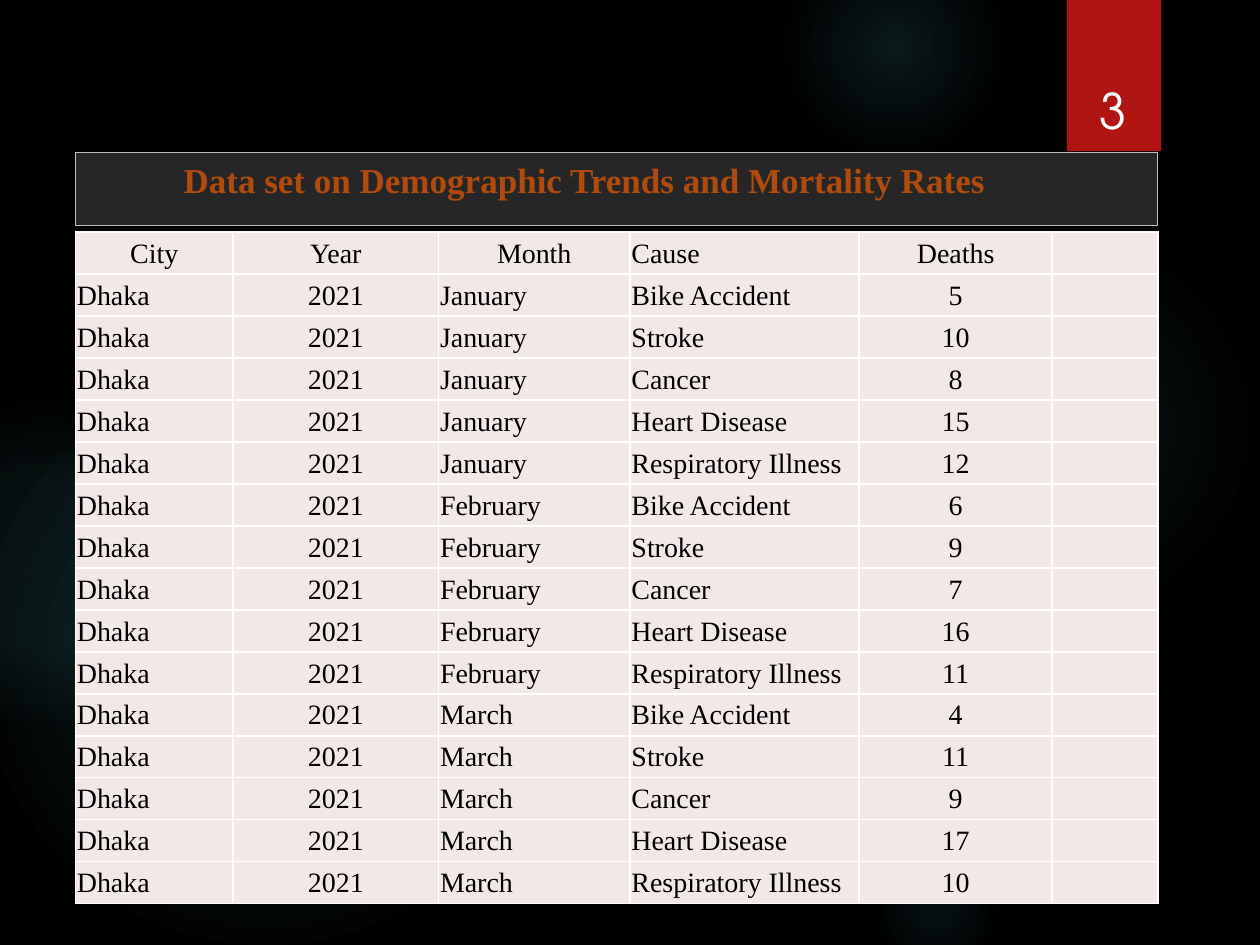
from dataclasses import dataclass
from itertools import product

from lxml.etree import SubElement
from pptx import Presentation
from pptx.dml.color import RGBColor
from pptx.enum.shapes import MSO_SHAPE
from pptx.enum.text import MSO_ANCHOR, MSO_AUTO_SIZE, PP_ALIGN
from pptx.oxml import parse_xml
from pptx.oxml.ns import nsdecls, qn
from pptx.slide import Slide
from pptx.table import _Cell
from pptx.text.text import TextFrame
from pptx.util import Cm, Pt

COLORS = {
    "background": "000000", "glow": "50B9C1", "tab": "B01513",
    "banner": "262626", "banner line": "BDBDBD", "title": "B04A0D",
    "cell": "F2E8E7", "border": "FFFFFF", "text": "000000", "number": "FFFFFF",
}
SERIF = "Times New Roman"
HEADERS = ("City", "Year", "Month", "Cause", "Deaths", "")
MONTHS = ("January", "February", "March")
CAUSES = ("Bike Accident", "Stroke", "Cancer", "Heart Disease", "Respiratory Illness")
DEATHS = (5, 10, 8, 15, 12, 6, 9, 7, 16, 11, 4, 11, 9, 17, 10)
COLUMN_WIDTHS = (3.18, 4.14, 3.86, 4.62, 3.89, 2.13)
CENTERED_COLUMNS = {"Year", "Deaths"}
CENTERED_HEADERS = CENTERED_COLUMNS | {"City", "Month"}
TABLE_LEFT, TABLE_TOP, TABLE_HEIGHT = 1.52, 4.68, 13.55


@dataclass
class Glow:
    """A round light: place and size in cm, stops as (position, opacity) in percent."""
    left: float
    top: float
    size: float
    stops: tuple[tuple[int, int], ...]


GLOWS = (
    Glow(17.5, 4.65, 7.82, ((0, 7), (36, 6), (69, 0))),
    Glow(15.8, -1.27, 4.45, ((0, 14), (36, 7), (73, 0))),
    Glow(17.5, 16.94, 2.74, ((0, 9), (36, 5), (66, 0))),
    Glow(-0.43, 7.42, 11.63, ((0, 11), (36, 10), (75, 0))),
    Glow(-2.34, 8.05, 6.55, ((0, 8), (36, 8), (72, 0))),
)


def color(name: str) -> RGBColor:
    return RGBColor.from_string(COLORS[name])


def set_attributes(target: object, values: dict) -> None:
    for name, value in values.items():
        setattr(target, name, value)


def write_text(frame: TextFrame, text: str, color_name: str,
               alignment: PP_ALIGN, font: dict) -> None:
    frame.text = text
    paragraph = frame.paragraphs[0]
    paragraph.alignment = alignment
    for run in paragraph.runs:
        set_attributes(run.font, font)
        run.font.color.rgb = color(color_name)


def add_glow(slide: Slide, glow: Glow) -> None:
    shape = slide.shapes.add_shape(MSO_SHAPE.OVAL, Cm(glow.left), Cm(glow.top),
                                   Cm(glow.size), Cm(glow.size))
    shape.shadow.inherit = False
    shape.line.fill.background()
    stops = "".join(
        f'<a:gs pos="{position * 1000}"><a:srgbClr val="{COLORS["glow"]}">'
        f'<a:alpha val="{opacity * 1000}"/></a:srgbClr></a:gs>'
        for position, opacity in glow.stops)
    gradient = parse_xml(
        f'<a:gradFill {nsdecls("a")} rotWithShape="1"><a:gsLst>{stops}</a:gsLst>'
        '<a:path path="circle"><a:fillToRect l="50000" t="50000" r="50000" b="50000"/>'
        '</a:path></a:gradFill>')
    shape.element.spPr.find(qn("a:prstGeom")).addnext(gradient)


def format_cell(cell: _Cell, text: str, centered: bool) -> None:
    set_attributes(cell, {
        "margin_left": Cm(0.03), "margin_right": Cm(0.03), "margin_top": Cm(0.03),
        "margin_bottom": 0, "vertical_anchor": MSO_ANCHOR.MIDDLE})
    write_text(cell.text_frame, text, "text",
               PP_ALIGN.CENTER if centered else PP_ALIGN.LEFT,
               {"name": SERIF, "size": Pt(16)})
    # Borders come before the fill in the cell properties
    properties = cell._tc.get_or_add_tcPr()
    for side in ("lnL", "lnR", "lnT", "lnB"):
        border = SubElement(properties, qn(f"a:{side}"), w=str(Pt(1)))
        fill = SubElement(border, qn("a:solidFill"))
        SubElement(fill, qn("a:srgbClr"), val=COLORS["border"])
    cell.fill.solid()
    cell.fill.fore_color.rgb = color("cell")


def add_mortality_table(slide: Slide) -> None:
    records = [("Dhaka", "2021", month, cause, str(deaths), "")
               for (month, cause), deaths in zip(product(MONTHS, CAUSES), DEATHS)]
    rows = [HEADERS, *records]
    table = slide.shapes.add_table(
        len(rows), len(HEADERS), Cm(TABLE_LEFT), Cm(TABLE_TOP),
        Cm(sum(COLUMN_WIDTHS)), Cm(TABLE_HEIGHT)).table
    set_attributes(table, {"first_row": False, "horz_banding": False})
    for column, width in zip(table.columns, COLUMN_WIDTHS):
        column.width = Cm(width)
    for row_index, values in enumerate(rows):
        table.rows[row_index].height = Cm(TABLE_HEIGHT / len(rows))
        centered = CENTERED_COLUMNS if row_index else CENTERED_HEADERS
        for column_index, (header, value) in enumerate(zip(HEADERS, values)):
            format_cell(table.cell(row_index, column_index), value, header in centered)


def add_title(slide: Slide) -> None:
    title = slide.shapes.title
    set_attributes(title, {"left": Cm(TABLE_LEFT), "top": Cm(3.07),
                           "width": Cm(sum(COLUMN_WIDTHS)), "height": Cm(1.48)})
    title.fill.solid()
    title.fill.fore_color.rgb = color("banner")
    title.line.color.rgb = color("banner line")
    title.line.width = Pt(0.75)
    set_attributes(title.text_frame, {
        "vertical_anchor": MSO_ANCHOR.TOP, "auto_size": MSO_AUTO_SIZE.NONE,
        "word_wrap": True, "margin_left": Cm(2.18)})
    write_text(title.text_frame, "Data set on Demographic Trends and Mortality Rates",
               "title", PP_ALIGN.LEFT, {"name": SERIF, "size": Pt(20), "bold": True})
    # Bring the banner in front of the background parts
    title.element.getparent().append(title.element)


def add_page_tab(slide: Slide) -> None:
    tab = slide.shapes.add_shape(MSO_SHAPE.RECTANGLE, Cm(21.51), 0, Cm(1.9), Cm(3.05))
    tab.shadow.inherit = False
    tab.fill.solid()
    tab.fill.fore_color.rgb = color("tab")
    tab.line.fill.background()


def add_page_number(slide: Slide) -> None:
    frame = slide.shapes.add_textbox(Cm(21.56), Cm(0.81), Cm(1.75), Cm(2.13)).text_frame
    set_attributes(frame, {"word_wrap": True, "vertical_anchor": MSO_ANCHOR.BOTTOM})
    write_text(frame, "3", "number", PP_ALIGN.CENTER,
               {"name": "TeX Gyre Adventor", "size": Pt(28)})


def main() -> None:
    presentation = Presentation()
    set_attributes(presentation, {"slide_width": Cm(25.4), "slide_height": Cm(19.05)})
    slide = presentation.slides.add_slide(presentation.slide_layouts[5])

    # Background
    slide.background.fill.solid()
    slide.background.fill.fore_color.rgb = color("background")
    for glow in GLOWS:
        add_glow(slide, glow)
    add_page_tab(slide)

    # Content
    add_mortality_table(slide)
    add_title(slide)
    add_page_number(slide)
    presentation.save("out.pptx")


if __name__ == "__main__":
    main()
